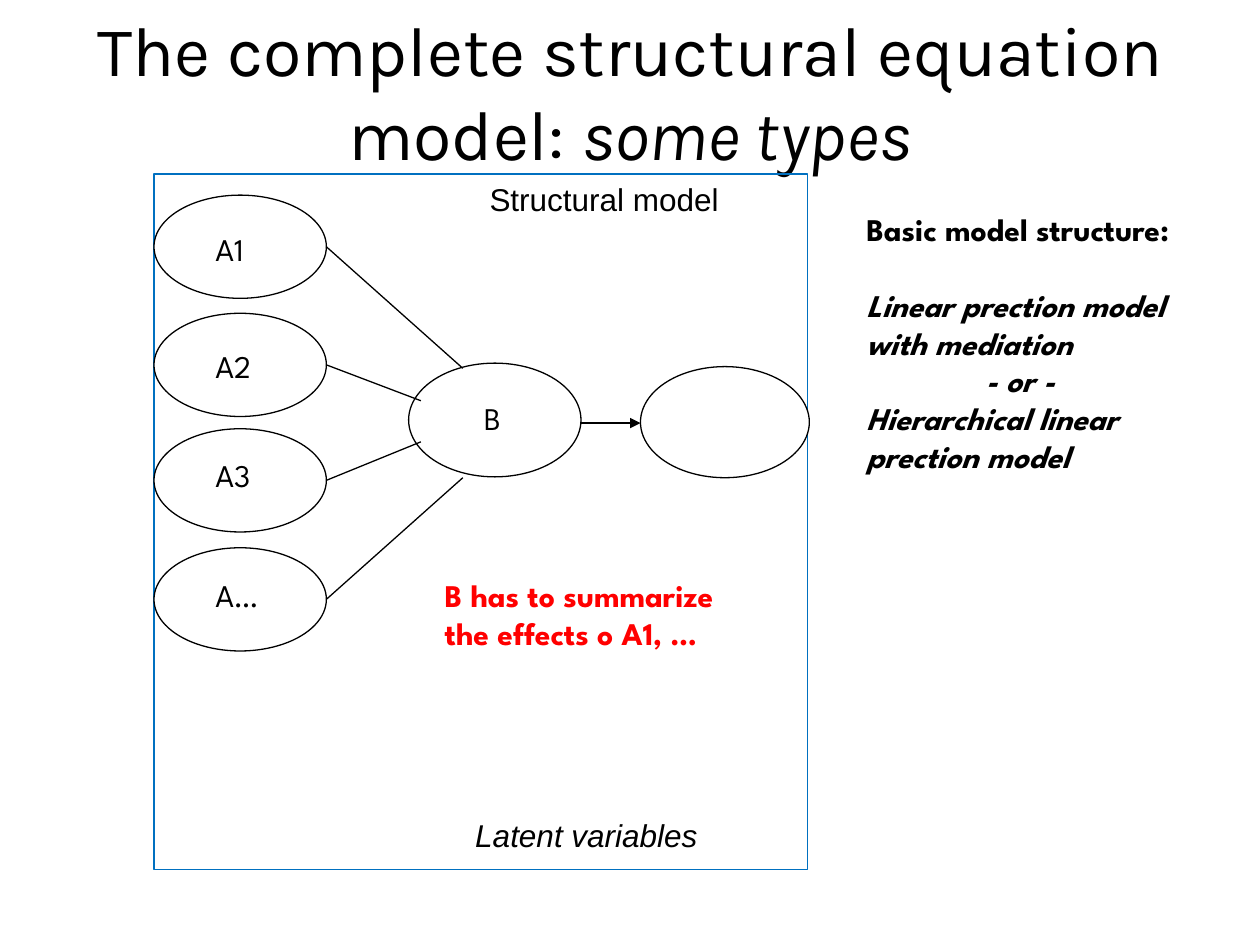
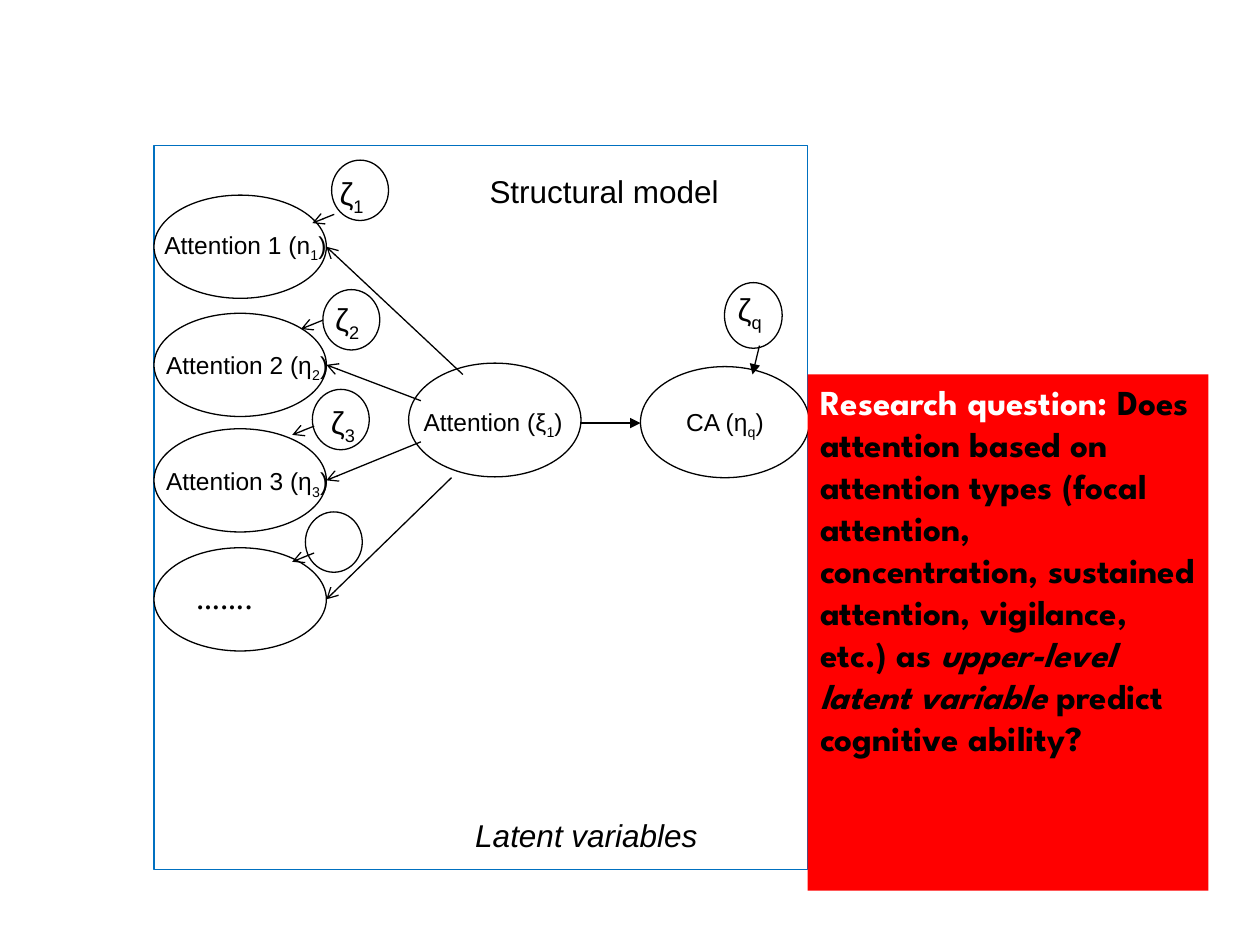
"""Build two slides on structural equation models with mediating latent variables."""
from lxml.etree import SubElement
from pptx import Presentation
from pptx.dml.color import RGBColor
from pptx.enum.shapes import MSO_CONNECTOR as Connector, MSO_SHAPE as Shape
from pptx.enum.text import MSO_ANCHOR as Anchor, MSO_AUTO_SIZE as AutoSize, PP_ALIGN as Align
from pptx.oxml.ns import qn
from pptx.util import Pt

BLACK = RGBColor(0x00, 0x00, 0x00)
WHITE = RGBColor(0xFF, 0xFF, 0xFF)
RED = RGBColor(0xFF, 0x00, 0x00)
BLUE = RGBColor(0x00, 0x70, 0xC0)
TITLE_FONT, HEAD_FONT, MODEL_FONT = "Karla", "League Spartan", "Arial"

TITLE_LAYOUT, BLANK_LAYOUT = 5, 6
FRAME_LEFT, FRAME_WIDTH, FRAME_BOTTOM = 88, 373.5, 497
MEDIATOR = (233.5, 207.5, 98.5, 65)
OUTCOME = (366, 209.5, 96.5, 63.5)
FACTOR_TOPS = (111.5, 179, 245, 313)
FACTOR_WIDTH, FACTOR_HEIGHT = 98.5, 59
SUB = {"sub": True}


def write(frame, *paragraphs, font=HEAD_FONT, size=18, color=BLACK, bold=False,
          italic=False, align=Align.LEFT, before=0, indents=()):
    """Fill a text frame; a paragraph is a string or a list of (text, changes) runs."""
    for index, runs in enumerate(paragraphs):
        paragraph = frame.add_paragraph() if index else frame.paragraphs[0]
        paragraph.alignment = align
        if index in indents:
            paragraph._p.get_or_add_pPr().set("marL", str(Pt(indents[index])))
        if index == 1 and before:
            paragraph.space_before = Pt(before)
        for text, changes in [(runs, {})] if isinstance(runs, str) else runs:
            run = paragraph.add_run()
            run.text = text
            run.font.name = font
            run.font.size = Pt(size)
            run.font.bold = bold
            run.font.italic = changes.get("italic", italic)
            run.font.color.rgb = changes.get("color", color)
            if changes.get("sub"):
                run._r.get_or_add_rPr().set("baseline", "-25000")


class ModelDeck:
    """Hold the presentation, its style and the current slide."""

    def __init__(self):
        """Start an empty 10 by 7.5 inch deck."""
        self.deck = Presentation()
        self.deck.slide_width, self.deck.slide_height = Pt(720), Pt(540)
        self.slide = None

    def start(self, layout):
        """Make a new slide current."""
        self.slide = self.deck.slides.add_slide(self.deck.slide_layouts[layout])

    def title(self, *runs):
        """Place and format the title placeholder."""
        title = self.slide.shapes.title
        title.left, title.top, title.width, title.height = Pt(36), Pt(6.5), Pt(648), Pt(90)
        title.text_frame.auto_size = AutoSize.NONE
        title.text_frame.vertical_anchor = Anchor.MIDDLE
        write(title.text_frame, list(runs), font=TITLE_FONT, size=40, align=Align.CENTER)

    def shape(self, kind, left, top, width, height, fill=None, line=None):
        """Add a preset shape with plain fill and outline."""
        shape = self.slide.shapes.add_shape(kind, Pt(left), Pt(top), Pt(width), Pt(height))
        shape.shadow.inherit = False
        if fill is None:
            shape.fill.background()
        else:
            shape.fill.solid()
            shape.fill.fore_color.rgb = fill
        if line is None:
            shape.line.fill.background()
        else:
            shape.line.color.rgb = line
            shape.line.width = Pt(0.75)
        return shape

    def oval(self, left, top, width, height):
        """Add an oval for a variable."""
        self.shape(Shape.OVAL, left, top, width, height, WHITE, BLACK)

    def text(self, left, top, width, height, *paragraphs, **style):
        """Add a wrapping text box."""
        box = self.slide.shapes.add_textbox(Pt(left), Pt(top), Pt(width), Pt(height))
        box.text_frame.word_wrap = True
        write(box.text_frame, *paragraphs, **style)

    def symbol(self, left, top, width, name, index, size=14, align=Align.CENTER, close=")"):
        """Add a variable name with a subscript."""
        runs = [(name, {}), (index, SUB)] + ([(close, {})] if close else [])
        self.text(left, top, width, 26.5, runs, font=MODEL_FONT, size=size, align=align)

    def path_line(self, start, end, head=None):
        """Add a straight line, with an arrowhead of the given type at its end."""
        line = self.slide.shapes.add_connector(Connector.STRAIGHT, *map(Pt, (*start, *end)))
        line.line.color.rgb = BLACK
        line.line.width = Pt(0.75)
        if head:
            SubElement(line.line._get_or_add_ln(), qn("a:tailEnd"), type=head)
        SubElement(line._element.spPr, qn("a:effectLst"))

    def structural_model(self, frame_top, caption_top, joints, head=None):
        """Draw the frame, its captions, the variables and the paths between them."""
        self.shape(Shape.RECTANGLE, FRAME_LEFT, frame_top, FRAME_WIDTH,
                   FRAME_BOTTOM - frame_top, line=BLUE)
        self.oval(*MEDIATOR)
        self.oval(*OUTCOME)
        self.path_line((332, 241.75), (366, 241.75), "triangle")
        self.text(240.5, caption_top, 209.5, 29, "Structural model",
                  font=MODEL_FONT, align=Align.CENTER)
        self.text(264.5, 462.5, 174.5, 29, "Latent variables", font=MODEL_FONT, italic=True)
        for top, joint in zip(FACTOR_TOPS, joints):
            self.oval(FRAME_LEFT, top, FACTOR_WIDTH, FACTOR_HEIGHT)
            self.path_line(joint, (FRAME_LEFT + FACTOR_WIDTH, top + FACTOR_HEIGHT / 2), head)


def model_types(deck):
    """Build the slide on the basic model structure."""
    deck.start(TITLE_LAYOUT)
    deck.title(("The complete structural equation model: ", {}),
               ("some types", {"italic": True}))
    deck.structural_model(99.5, 99.5, [(264.5, 210.5), (240.5, 229), (240.5, 252.5), (264.5, 273)])
    slanted = {"italic": True}
    deck.text(488, 116.5, 206.5, 201.5, "Basic model structure:",
              [("Linear prection model with mediation", slanted)],
              [("- or -", slanted)],
              [("Hierarchical linear prection model", slanted)],
              bold=True, before=21.7, indents={2: 68})
    deck.text(269.5, 224.5, 39.5, 29, "B")
    for name, top in zip(("A1", "A2", "A3", "A…"), (128, 195, 257, 325.5)):
        deck.text(116, top, 51, 29, name)
    deck.text(247, 325.5, 181.5, 72, "B has to summarize the effects o A1, …",
              color=RED, bold=True)


def attention_model(deck):
    """Build the slide that applies the model to attention."""
    deck.start(BLANK_LAYOUT)
    deck.structural_model(83, 94.5, [(264.5, 214), (240.5, 229), (240.5, 252.5), (258, 273)],
                          "arrow")
    deck.symbol(226, 229, 111.5, "Attention (ξ", "1")
    deck.symbol(360, 229, 108.5, "CA (η", "q")
    for left, top, name, index in ((84.5, 128, "Attention 1 (n", "1"),
                                   (85.5, 196.5, "Attention 2 (η", "2"),
                                   (85.5, 263, "Attention 3 (η", "3")):
        deck.symbol(left, top, 111.5, name, index)
    deck.text(105, 327, 62.5, 29, "…….")

    for left, top in ((189.5, 91.5), (184.5, 165.5), (178.5, 222.5), (174.5, 292.5)):
        deck.oval(left, top, 32.5, 34.5)
    deck.oval(414, 161.5, 33, 37.5)
    for left, top, index in ((187, 96, "1"), (184.5, 168, "2"), (182, 227, "3"),
                             (414.5, 162, "q")):
        deck.symbol(left, top, 42, "ζ", index, size=18, align=Align.LEFT, close="")
    for x, y in ((191, 122.5), (184.5, 183), (179.5, 243.5), (179.5, 316)):
        deck.path_line((x, y), (x - 12.5, y + 5), "arrow")
    deck.path_line((434, 197.5), (430, 214), "triangle")

    question = deck.shape(Shape.RECTANGLE, 461.5, 214, 229, 295, fill=RED).text_frame
    question.word_wrap = True
    question.vertical_anchor = Anchor.TOP
    write(question, [("Research question: ", {"color": WHITE}),
                     ("Does attention based on attention types (focal attention, concentration, "
                      "sustained attention, vigilance, etc.) as ", {}),
                     ("upper-level latent variable ", {"italic": True}),
                     ("predict cognitive ability?", {})], size=20, bold=True)


def main():
    """Build and save the deck."""
    deck = ModelDeck()
    model_types(deck)
    attention_model(deck)
    deck.deck.save("out.pptx")


if __name__ == "__main__":
    main()
